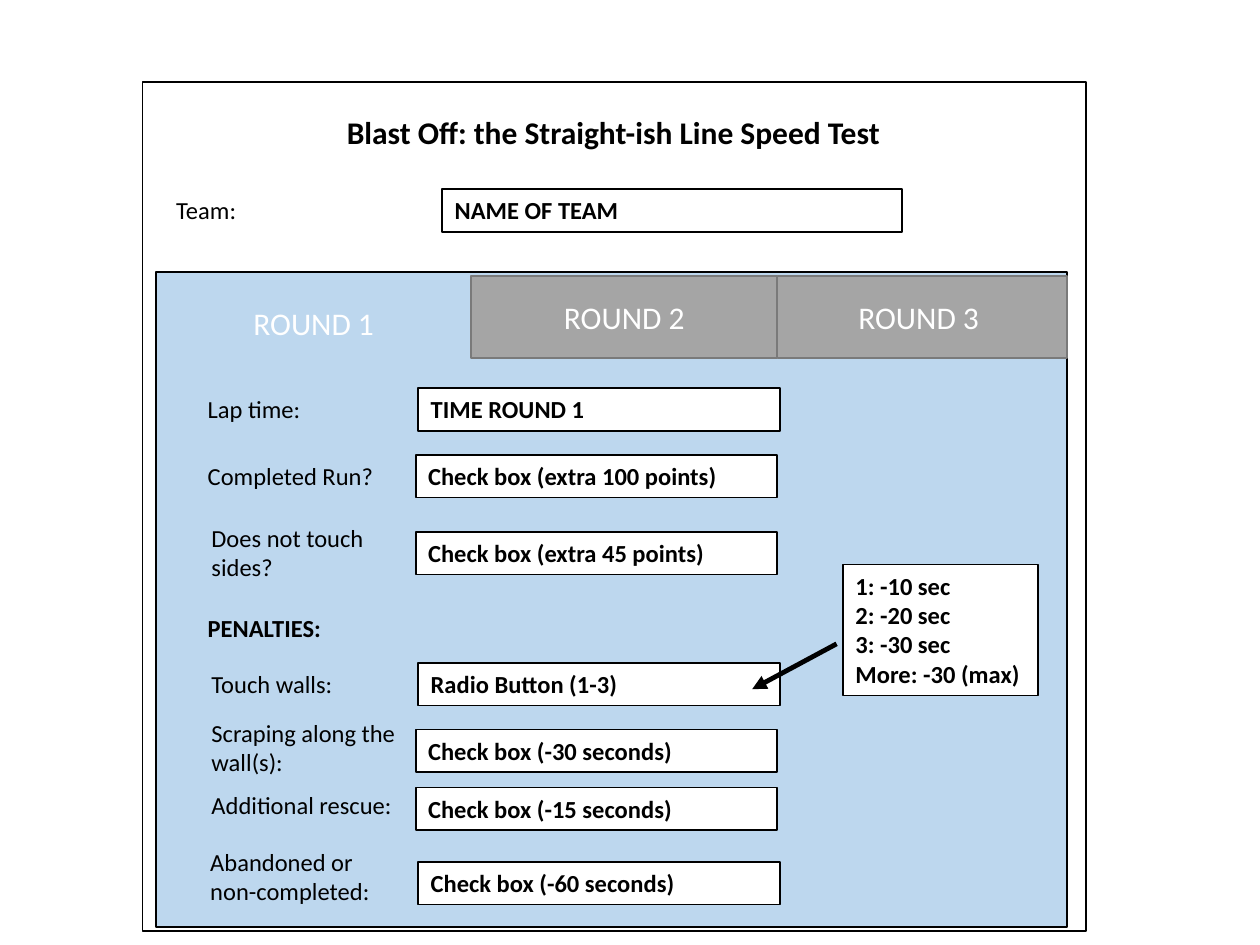
from dataclasses import dataclass
from typing import Optional

from lxml.etree import SubElement
from pptx import Presentation
from pptx.dml.color import RGBColor as RGB
from pptx.enum.shapes import MSO_CONNECTOR as CONN, MSO_SHAPE as SHAPE
from pptx.enum.text import MSO_ANCHOR as ANCHOR, PP_ALIGN as ALIGN
from pptx.oxml.ns import qn
from pptx.util import Inches, Pt


@dataclass(frozen=True)
class Theme:
    """Colours, font and sizes of the form."""
    font: str = "Calibri"
    ink: RGB = RGB(0, 0, 0)
    white: RGB = RGB(255, 255, 255)
    panel: RGB = RGB(0xBD, 0xD7, 0xEE)
    tab: RGB = RGB(0xA5, 0xA5, 0xA5)
    tab_edge: RGB = RGB(0x7A, 0x7A, 0x7A)
    heading: Pt = Pt(18)
    body: Pt = Pt(14)
    edge: Pt = Pt(1)
    arrow: Pt = Pt(2.75)


@dataclass(frozen=True)
class Box:
    """Left, top, width and height in inches."""
    x: float
    y: float
    w: float
    h: float = 0.34

    def emu(self) -> list:
        """Return the four lengths for python-pptx."""
        return [Inches(v) for v in (self.x, self.y, self.w, self.h)]


@dataclass(frozen=True)
class Tab:
    """A round's tab at the head of the panel."""
    text: str
    box: Box
    fill: RGB
    line: Optional[RGB]


@dataclass(frozen=True)
class Row:
    """A label with its input field."""
    label: str
    label_box: Box
    field: str
    field_box: Box


T = Theme()
FIELD_W = 2.87
TABS = [
    Tab("ROUND 1", Box(1.27, 2.29, 2.44, 0.55), T.panel, None),
    Tab("ROUND 2", Box(3.74, 2.19, 2.43, 0.65), T.tab, T.tab_edge),
    Tab("ROUND 3 ", Box(6.17, 2.19, 2.3, 0.65), T.tab, T.tab_edge),
]
TEAM = Row("Team:", Box(1.3, 1.5, 1.45), "NAME OF TEAM", Box(3.51, 1.5, 3.65))
ROWS = [
    Row("Lap time:", Box(1.55, 3.08, 1.45),
        "TIME ROUND 1", Box(3.32, 3.08, FIELD_W)),
    Row("Completed Run?", Box(1.55, 3.61, 1.61),
        "Check box (extra 100 points)", Box(3.3, 3.61, FIELD_W)),
    Row("Does not touch sides?", Box(1.58, 4.1, 1.53, 0.57),
        "Check box (extra 45 points)", Box(3.3, 4.22, FIELD_W)),
    Row("Touch walls:", Box(1.58, 5.26, 1.61),
        "Radio Button (1-3)", Box(3.32, 5.26, FIELD_W)),
    Row("Scraping along the wall(s):", Box(1.58, 5.65, 1.72, 0.57),
        "Check box (-30 seconds)", Box(3.3, 5.79, FIELD_W)),
    Row("Additional rescue:\u00a0", Box(1.58, 6.22, 1.72),
        "Check box (-15 seconds)", Box(3.3, 6.25, FIELD_W)),
    Row("Abandoned or non-completed:", Box(1.57, 6.67, 1.72, 0.57),
        "Check box (-60 seconds)", Box(3.32, 6.84, FIELD_W)),
]
WALL_PENALTIES = "1: -10 sec\n2: -20 sec\n3: -30 sec\nMore: -30 (max)"


def write(sp, text: str, size: Pt = T.body, color: RGB = T.ink,
          bold: bool = False, align: ALIGN = ALIGN.LEFT,
          anchor: ANCHOR = ANCHOR.TOP) -> None:
    """Fill a shape with text, one paragraph a line."""
    tf = sp.text_frame
    tf.word_wrap = True
    tf.vertical_anchor = anchor
    tf.text = text
    for p in tf.paragraphs:
        p.alignment = align
        p.font.name, p.font.size, p.font.bold = T.font, size, bold
        p.font.color.rgb = color


def add_rect(s, box: Box, fill: Optional[RGB] = None,
             line: Optional[RGB] = T.ink):
    """Draw a flat rectangle; None means no fill or no line."""
    sp = s.shapes.add_shape(SHAPE.RECTANGLE, *box.emu())
    sp.shadow.inherit = False
    if fill is None:
        sp.fill.background()
    else:
        sp.fill.solid()
        sp.fill.fore_color.rgb = fill
    if line is None:
        sp.line.fill.background()
    else:
        sp.line.color.rgb = line
        sp.line.width = T.edge
    return sp


def add_label(s, text: str, box: Box, **style) -> None:
    """Place a plain text box."""
    write(s.shapes.add_textbox(*box.emu()), text, **style)


def add_field(s, text: str, box: Box) -> None:
    """Place a white outlined box with bold text."""
    write(add_rect(s, box, T.white), text, bold=True)


def add_row(s, row: Row) -> None:
    """Place a label and its field."""
    add_label(s, row.label, row.label_box)
    add_field(s, row.field, row.field_box)


def add_tab(s, tab: Tab) -> None:
    """Place a tab with centred white text."""
    write(add_rect(s, tab.box, tab.fill, tab.line), tab.text, size=T.heading,
          color=T.white, align=ALIGN.CENTER, anchor=ANCHOR.MIDDLE)


def add_arrow(s, x1: float, y1: float, x2: float, y2: float) -> None:
    """Draw an arrow pointing at the second point."""
    ends = [Inches(v) for v in (x1, y1, x2, y2)]
    cx = s.shapes.add_connector(CONN.STRAIGHT, *ends)
    cx.line.color.rgb = T.ink
    cx.line.width = T.arrow
    SubElement(cx.line._get_or_add_ln(), qn("a:tailEnd"), type="triangle")
    SubElement(cx._element.spPr, qn("a:effectLst"))


def main() -> None:
    """Build and save the slide."""
    prs = Presentation()
    prs.slide_width, prs.slide_height = Inches(10), Inches(7.5)
    s = prs.slides.add_slide(prs.slide_layouts[6])

    add_rect(s, Box(1.13, 0.65, 7.49, 6.74))
    add_label(s, "Blast Off: the Straight-ish Line Speed Test",
              Box(2.27, 0.85, 5.2, 0.4), size=T.heading, bold=True,
              align=ALIGN.CENTER)
    add_row(s, TEAM)
    add_rect(s, Box(1.24, 2.16, 7.23, 5.2), T.panel)
    for tab in TABS:
        add_tab(s, tab)
    for row in ROWS:
        add_row(s, row)
    add_label(s, "PENALTIES:", Box(1.55, 4.82, 1.53), bold=True)
    add_arrow(s, 6.64, 5.11, 5.97, 5.47)
    add_field(s, WALL_PENALTIES, Box(6.69, 4.48, 1.55, 1.04))
    prs.save("out.pptx")


main()
